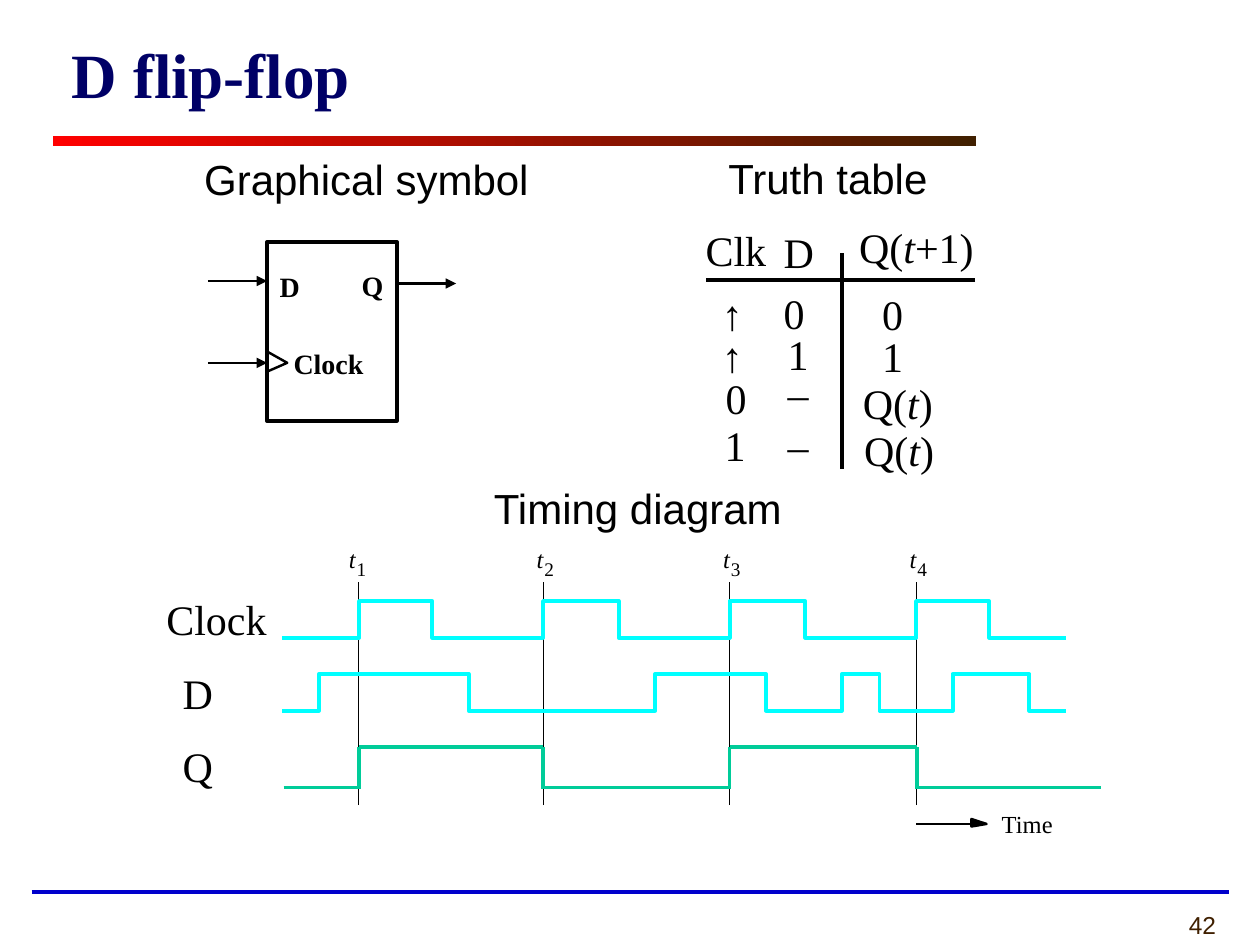
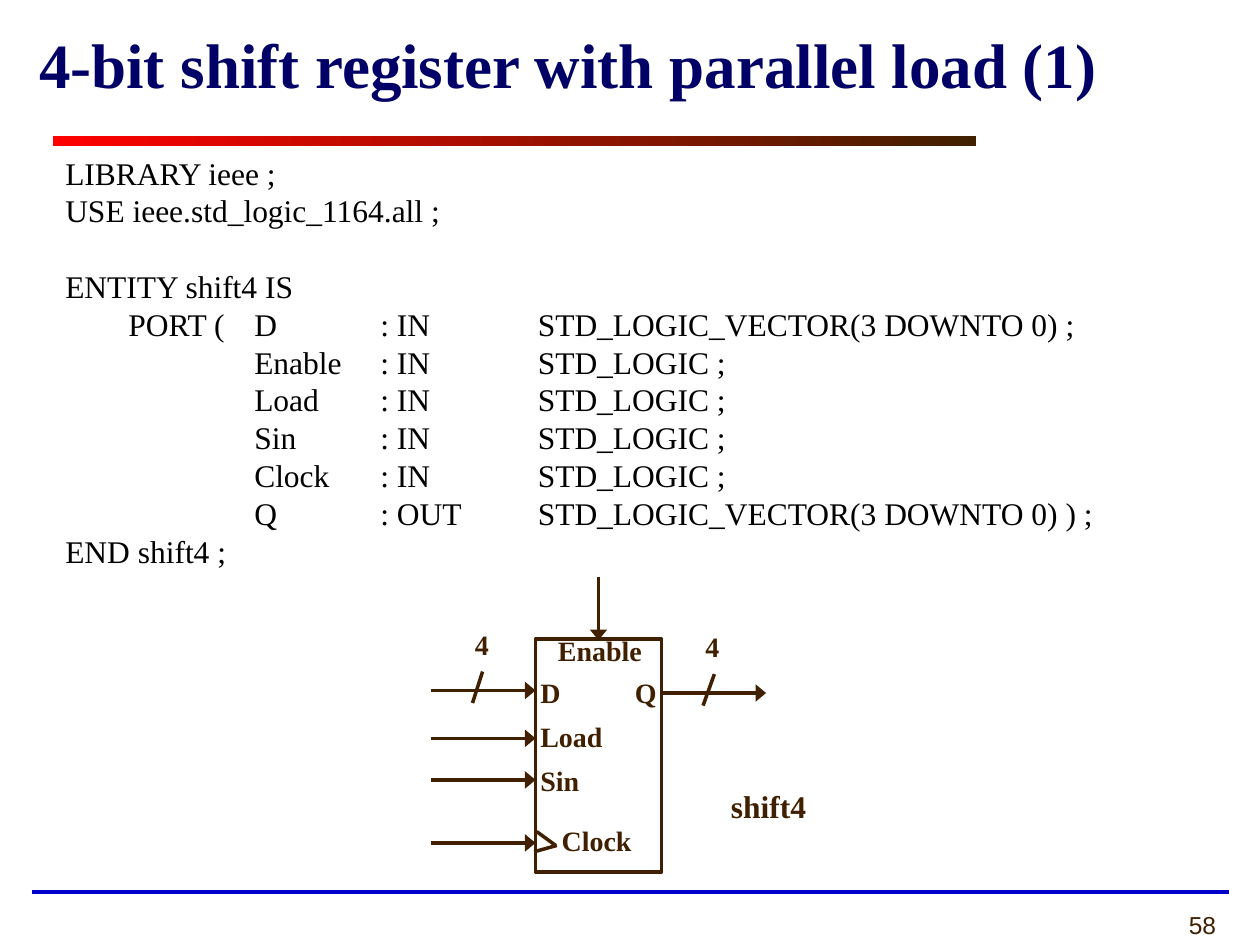
"""Build two slides on the D flip-flop and a 4-bit shift register."""
from lxml import etree
from pptx import Presentation
from pptx.dml.color import RGBColor
from pptx.enum import shapes, text
from pptx.oxml import ns
from pptx.util import Inches, Pt

BLACK = RGBColor(0, 0, 0)
WHITE = RGBColor(255, 255, 255)
NAVY = RGBColor(0, 0, 0x66)
BLUE = RGBColor(0, 0, 0xCC)
RED = RGBColor(255, 0, 0)
BROWN = RGBColor(0x40, 0x20, 0)
CYAN = RGBColor(0, 255, 255)
GREEN = RGBColor(0, 0xCC, 0x99)
SERIF, SANS = "Times New Roman", "Arial"

HEADS = [("Graphical symbol", 1.62, 1.22, 2.58), ("Truth table", 5.78, 1.21, 1.69),
         ("Timing diagram", 3.92, 3.83, 2.3)]
CELLS = [("Clk", 5.6, 1.78, 0.56), ("D", 6.22, 1.8, 0.32),
         ("↑", 5.73, 2.29, 0.28), ("0", 6.22, 2.28, 0.25), ("0", 7, 2.29, 0.25),
         ("↑", 5.73, 2.62, 0.28), ("1", 6.25, 2.61, 0.25), ("1", 7, 2.62, 0.25),
         ("0", 5.76, 2.96, 0.25), ("–", 6.25, 2.92, 0.25),
         ("1", 5.75, 3.33, 0.25), ("–", 6.25, 3.33, 0.25)]
STATES = [("+1)", 6.72, 1.71, 1.11), (")", 6.75, 2.95, 0.76), (")", 6.76, 3.32, 0.76)]
RULES = [(7.74, 2.22, 5.6, 2.22), (6.68, 3.72, 6.68, 2.01)]
PINS = [("D", 2.22, 2.14, 0.22), ("Q", 2.87, 2.13, 0.23), ("Clock", 2.33, 2.75, 0.61)]
WIRES = [(1.65, 2.88, 2.12, 2.88), (1.65, 2.23, 2.12, 2.23), (3.15, 2.25, 3.62, 2.25)]
NOTCH = [(2.12, 2.95), (2.28, 2.88), (2.12, 2.79)]
TICKS = [(2.84, 2.77), (4.31, 4.26), (5.79, 5.74), (7.27, 7.22)]
ROWS = [("Clock", 1.32, 4.71, 0.88), ("D", 1.45, 5.3, 0.32), ("Q", 1.45, 5.88, 0.32)]
WAVES = [(4.77, [2.24, 2.85, 3.43, 4.31, 4.91, 5.79, 6.39, 7.27, 7.85, 8.46]),
         (5.35, [2.24, 2.53, 3.72, 5.2, 6.08, 6.68, 6.98, 7.56, 8.17, 8.46])]
STEPS = [2.25, 2.85, 4.31, 5.79, 7.28, 8.74]
TIP = [(7.71, 6.56), (7.83, 6.54), (7.71, 6.5), (7.71, 6.54)]

CODE = ["LIBRARY ieee ;", "USE ieee.std_logic_1164.all ;", "ENTITY shift4 IS"]
PORTS = [("D", "IN", "STD_LOGIC_VECTOR(3 DOWNTO 0) ;"), ("Enable", "IN", "STD_LOGIC ;"),
         ("Load", "IN", "STD_LOGIC ;"), ("Sin", "IN", "STD_LOGIC ;"),
         ("Clock", "IN", "STD_LOGIC ;"), ("Q", "OUT", "STD_LOGIC_VECTOR(3 DOWNTO 0) ) ;")]
TABS = [0.5, 1, 1.5, 2.5, 3.75]
FLOWS = [(4.75, 4.58, 4.75, 5.08), (5.25, 5.5, 6.08, 5.5)] + [
    (3.42, y, 4.25, y) for y in (5.48, 5.86, 6.19, 6.69)]
MARKS = [(4.26, 6.6, 4.41, 6.71), (4.24, 6.76, 4.42, 6.71),
         (5.67, 5.35, 5.58, 5.6), (3.83, 5.33, 3.75, 5.58)]
WIDE = [("Q", 4.94, 5.31, 0.25), ("Enable", 4.33, 4.98, 1.08), ("Clock", 4.36, 6.49, 1.08),
        ("4", 5.5, 4.95, 0.33), ("4", 3.67, 4.93, 0.33)]
TIGHT = [("D", 4.19, 5.31, 0.36), ("Load", 4.19, 5.66, 0.69), ("Sin", 4.19, 6.01, 0.51)]


def write(para, words, size, ink=BLACK, font=SERIF, bold=False, slant=False):
    run = para.add_run()
    run.text = words
    face = run.font
    face.size, face.name, face.bold, face.italic = Pt(size), font, bold, slant
    face.color.rgb = ink


def frame(shape, inset=True, wrap=False):
    body = shape.text_frame
    body.word_wrap = wrap
    body.auto_size = text.MSO_AUTO_SIZE.SHAPE_TO_FIT_TEXT
    body.vertical_anchor = text.MSO_ANCHOR.TOP
    if not inset:
        body.margin_left = body.margin_right = body.margin_top = body.margin_bottom = 0
    return body


def label(slide, words, x, y, w, h, size, inset=False, wrap=False, **look):
    box = slide.shapes.add_textbox(*map(Inches, (x, y, w, h)))
    para = frame(box, inset, wrap).paragraphs[0]
    if words:
        write(para, words, size, **look)
    return para


def stroke(slide, ends, ink, width, head=None):
    line = slide.shapes.add_connector(shapes.MSO_CONNECTOR.STRAIGHT, *map(Inches, ends))
    line.line.color.rgb, line.line.width = ink, Pt(width)
    props = line.element.spPr
    if head:
        etree.SubElement(props.find(ns.qn("a:ln")), ns.qn("a:tailEnd"),
                         type="triangle", w=head, len="med")
    etree.SubElement(props, ns.qn("a:effectLst"))


def rect(slide, x, y, w, h):
    box = slide.shapes.add_shape(shapes.MSO_SHAPE.RECTANGLE, *map(Inches, (x, y, w, h)))
    box.shadow.inherit = False
    return box


def trace(slide, points, ink, width, solid=False):
    spots = [(Inches(x), Inches(y)) for x, y in points]
    pen = slide.shapes.build_freeform(*spots[0])
    pen.add_line_segments(spots[1:], close=solid)
    form = pen.convert_to_shape()
    form.shadow.inherit = False
    form.line.color.rgb, form.line.width = ink, Pt(width)
    if solid:
        form.fill.solid()
        form.fill.fore_color.rgb = ink
    else:
        form.fill.background()


def start(deck, name, spot, page):
    slide = deck.slides.add_slide(deck.slide_layouts[5])
    stroke(slide, (0.25, 7.08, 9.75, 7.08), BLUE, 2.25)
    band = rect(slide, 0.42, 1.08, 7.33, 0.08)
    band.line.fill.background()
    band.fill.gradient()
    band.fill.gradient_angle = 0
    for stop, ink in zip(band.fill.gradient_stops, (RED, BROWN)):
        stop.color.rgb = ink
    para = label(slide, page, 7.58, 7.17, 2.17, 0.33, 14, True, True, font=SANS, ink=BROWN)
    para.alignment = text.PP_ALIGN.RIGHT
    title = slide.shapes.title
    title.left, title.top, title.width, title.height = map(Inches, spot)
    para = frame(title).paragraphs[0]
    para.alignment = text.PP_ALIGN.LEFT
    write(para, name, 36, NAVY, bold=True)
    return slide


def flip(deck):
    slide = start(deck, "D flip-flop", (0.47, 0.23, 2.41, 0.7), "42")
    for words, x, y, w in HEADS:
        label(slide, words, x, y, w, 0.4, 24, font=SANS)
    for words, x, y, w in CELLS + ROWS:
        label(slide, words, x, y, w, 0.4, 24)
    for end, x, y, w in STATES:
        para = label(slide, "", x, y, w, 0.5, 24, inset=True)
        for words, slant in (("Q(", False), ("t", True), (end, False)):
            write(para, words, 24, slant=slant)
    for ends in RULES:
        stroke(slide, ends, BLACK, 2.25)

    box = rect(slide, 2.12, 1.92, 1.03, 1.42)
    box.fill.solid()
    box.fill.fore_color.rgb = WHITE
    box.line.color.rgb, box.line.width = BLACK, Pt(2.25)
    for words, x, y, w in PINS:
        label(slide, words, x, y, w, 0.27, 16, bold=True)
    for ends in WIRES:
        stroke(slide, ends, BLACK, 1.5, head="med")
    trace(slide, NOTCH, BLACK, 1.38)

    for i, (x, left) in enumerate(TICKS, 1):
        stroke(slide, (x, 6.39, x, 4.62), BLACK, 0.25)
        label(slide, "t", left, 4.32, 0.1, 0.23, 14, slant=True)
        label(slide, str(i), left + 0.06, 4.42, 0.11, 0.18, 11)
    for top, edges in WAVES:
        low = top + 0.29
        points = [(edges[0], low)]
        for i, x in enumerate(edges[1:-1]):
            points += [(x, top), (x, low)] if i % 2 else [(x, low), (x, top)]
        trace(slide, points + [(edges[-1], low)], CYAN, 2.25)
    for i, (x, end) in enumerate(zip(STEPS, STEPS[1:])):
        y = 5.93 if i % 2 else 6.25
        stroke(slide, (x, y, end, y), GREEN, 2.25)
        if i:
            stroke(slide, (x, 6.26, x, 5.93), GREEN, 2.25)
    stroke(slide, (7.71, 6.54, 7.27, 6.54), BLACK, 1.38)
    trace(slide, TIP, BLACK, 1.38, solid=True)
    label(slide, "Time", 7.95, 6.42, 0.41, 0.23, 14)


def shift(deck):
    slide = start(deck, "4-bit shift register with parallel load (1)",
                  (0.21, 0.15, 8.62, 0.7), "58")
    ports = [("\t\t\t" if i else "\tPORT (\t") + f"{name}\t: {way}\t{kind}"
             for i, (name, way, kind) in enumerate(PORTS)]
    code = slide.shapes.add_textbox(*map(Inches, (0.42, 1.17, 8.37, 3.4)))
    body = frame(code)
    for i, words in enumerate(CODE + ports + ["END shift4 ;"]):
        para = body.add_paragraph() if i else body.paragraphs[0]
        para.space_before = Pt(21.6 if words.startswith("ENTITY") else 0)
        stops = etree.SubElement(para._p.get_or_add_pPr(), ns.qn("a:tabLst"))
        for x in TABS:
            etree.SubElement(stops, ns.qn("a:tab"), pos=str(Inches(x)), algn="l")
        write(para, words, 18)

    box = rect(slide, 4.25, 5.07, 1, 1.85)
    box.fill.background()
    box.line.color.rgb, box.line.width = BROWN, Pt(2)
    for ends in FLOWS:
        stroke(slide, ends, BROWN, 2, head="lg")
    for ends in MARKS:
        stroke(slide, ends, BROWN, 2)
    for group, wrap in ((WIDE, True), (TIGHT, False)):
        for words, x, y, w in group:
            label(slide, words, x, y, w, 0.37, 16, True, wrap, ink=BROWN, bold=True)
    para = label(slide, "shift4", 5.7, 6.2, 0.8, 0.4, 18, True, ink=BROWN, bold=True)
    para.alignment = text.PP_ALIGN.CENTER


def main():
    deck = Presentation()
    deck.slide_width, deck.slide_height = Inches(10), Inches(7.5)
    flip(deck)
    shift(deck)
    deck.save("out.pptx")


if __name__ == "__main__":
    main()
